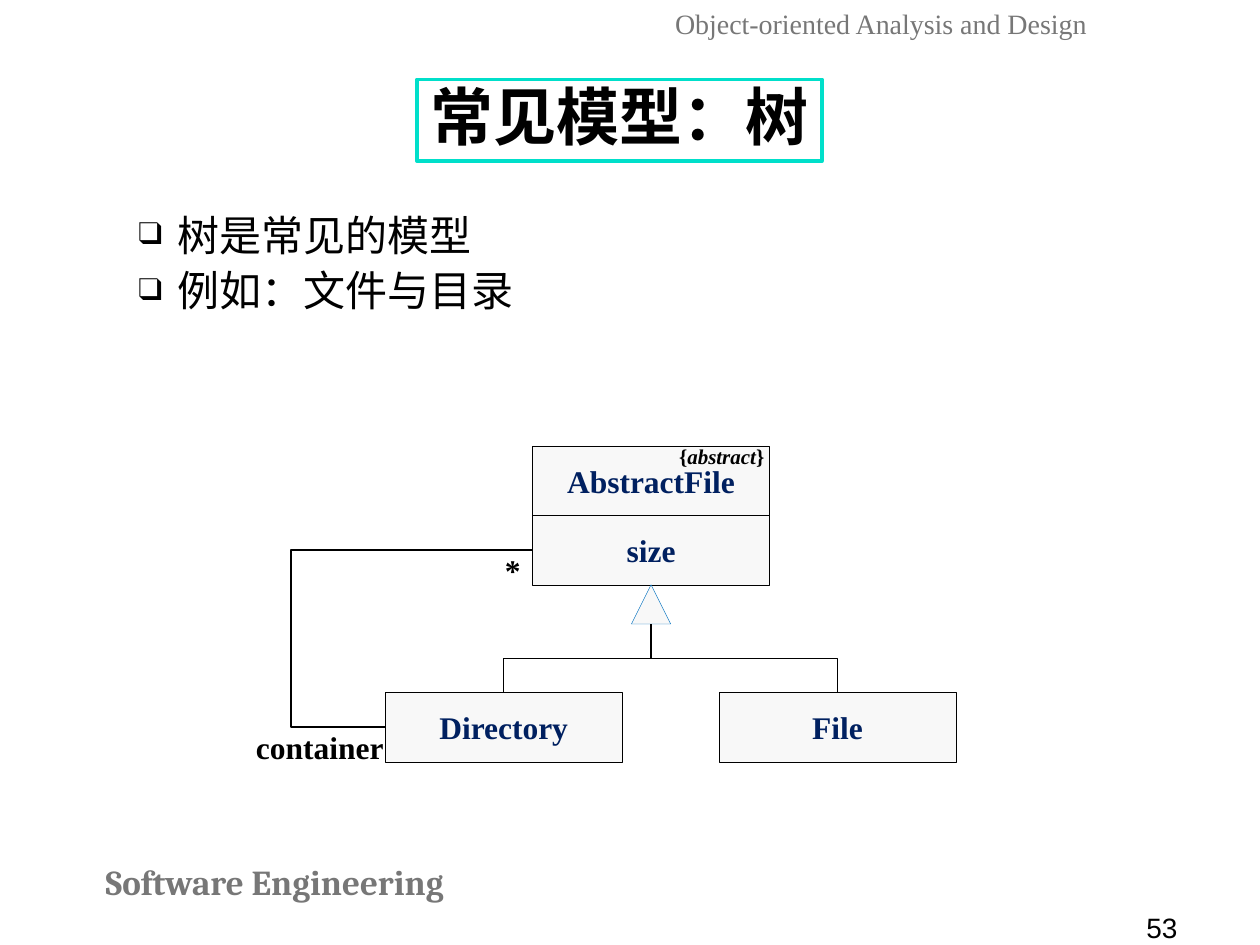
from lxml import etree
from pptx import Presentation
from pptx import util as u
from pptx.dml.color import RGBColor
from pptx.enum import shapes, text
from pptx.oxml.ns import qn

Cm, Pt = u.Cm, u.Pt
SERIF = "Times New Roman"
CLASS_W, CLASS_H = 4.77, 1.4


def rgb(value):
    """Turn a hex string into a colour."""
    return RGBColor.from_string(value)


def sub(parent, tag, **attrs):
    """Append an XML child with the given attributes."""
    el = etree.SubElement(parent, qn(tag))
    for key, value in attrs.items():
        el.set(key, str(value))
    return el


def style(p, size, color="000000", bold=False, font=SERIF, align=None):
    """Format every run of a paragraph."""
    p.alignment = align
    for r in p.runs:
        r.font.name, r.font.size, r.font.bold = font, Pt(size), bold
        r.font.color.rgb = rgb(color)


def label(s, words, x, y, w, h, size, **look):
    """Add a one-line text box that fits its text and return its paragraph."""
    tf = s.shapes.add_textbox(Cm(x), Cm(y), Cm(w), Cm(h)).text_frame
    tf.word_wrap = False
    tf.auto_size = text.MSO_AUTO_SIZE.SHAPE_TO_FIT_TEXT
    p = tf.paragraphs[0]
    for word in words:
        p.add_run().text = word
    style(p, size, **look)
    return p


def block(parent, kind, x, y, w, h, fill, line, width, alpha=None):
    """Add a filled and outlined preset shape."""
    sp = parent.shapes.add_shape(kind, Cm(x), Cm(y), Cm(w), Cm(h))
    sp.shadow.inherit = False
    sp.fill.solid()
    sp.fill.fore_color.rgb = rgb(fill)
    sp.line.color.rgb = rgb(line)
    sp.line.width = Pt(width)
    if alpha:
        color = sp.fill._xPr.find(qn("a:solidFill"))[0]
        sub(color, "a:alpha", val=alpha * 1000)
    return sp


def box_text(sp, words, size, color):
    """Put bold centred text in a shape and return its paragraph."""
    tf = sp.text_frame
    tf.text = words
    tf.word_wrap = True
    tf.vertical_anchor = text.MSO_ANCHOR.MIDDLE
    style(tf.paragraphs[0], size, color, True, align=text.PP_ALIGN.CENTER)
    return tf.paragraphs[0]


def title(s, words):
    """Add the framed slide title."""
    sp = block(s, shapes.MSO_SHAPE.RECTANGLE, 8.41, 1.6, 8.16, 1.65, "FFFFFF", "00DFCA", 2)
    box_text(sp, words, 36, "000000").line_spacing = 0.9
    sp.text_frame.auto_size = text.MSO_AUTO_SIZE.SHAPE_TO_FIT_TEXT


def bullets(s, items):
    """Add the bulleted body text."""
    tf = s.shapes.add_textbox(Cm(2.54), Cm(4.09), Cm(20.75), Cm(13.06)).text_frame
    tf.word_wrap = True
    tf.text = "\n".join(items)
    for i, p in enumerate(tf.paragraphs):
        pPr = p._p.get_or_add_pPr()
        pPr.set("marL", str(Cm(0.79)))
        pPr.set("indent", str(-Cm(0.79)))
        sub(sub(pPr, "a:buClr"), "a:srgbClr", val="000000")
        sub(pPr, "a:buSzPct", val=75000)
        sub(pPr, "a:buFont", typeface=SERIF)
        sub(pPr, "a:buChar", char="❑")
        if i:
            p.space_before = Pt(3)
        style(p, 24, align=text.PP_ALIGN.JUSTIFY)


def class_box(parent, name, x, y):
    """Add one compartment of a UML class."""
    sp = block(parent, shapes.MSO_SHAPE.RECTANGLE, x, y, CLASS_W, CLASS_H,
               "EAEAEA", "000000", 0.25, 33)
    box_text(sp, name, 18, "002060")


def elbow(s, x1, y1, x2, y2, upright=False, bend=0.5):
    """Add a bent connector; an upright one leaves and arrives vertically."""
    if upright:
        cx, cy = (x1 + x2) / 2, (y1 + y2) / 2
        x1, y1, x2, y2 = cx + cy - y1, cy + x1 - cx, cx + cy - y2, cy + x2 - cx
    cxn = s.shapes.add_connector(shapes.MSO_CONNECTOR.ELBOW, Cm(x1), Cm(y1), Cm(x2), Cm(y2))
    cxn.line.color.rgb = rgb("000000")
    cxn.line.width = Pt(0.75)
    spPr = cxn._element.spPr
    if upright:
        spPr.find(qn("a:xfrm")).set("rot", str(270 * 60000))
    guides = spPr.find(qn("a:prstGeom")).get_or_add_avLst()
    sub(guides, "a:gd", name="adj1", fmla=f"val {round(bend * 100000)}")
    sub(spPr, "a:effectLst")


def class_diagram(s):
    """Draw the file tree as a UML class diagram."""
    left, top, leaf_y = 10.74, 8.99, 13.96
    directory_x, file_x = 7.77, 14.5
    center, bottom, tip = left + CLASS_W / 2, top + 2 * CLASS_H, 0.79
    group = s.shapes.add_group_shape()
    class_box(group, "AbstractFile", left, top)
    class_box(group, "size", left, top + CLASS_H)
    class_box(s, "Directory", directory_x, leaf_y)
    class_box(s, "File", file_x, leaf_y)
    p = label(s, ["{", "abstract", "}"], 13.44, 8.81, 2.24, 0.76, 12, bold=True)
    p.runs[1].font.italic = True
    block(s, shapes.MSO_SHAPE.ISOSCELES_TRIANGLE, center - tip / 2, bottom, tip, tip,
          "EAEAEA", "0070C0", 0.25, 33)
    for x in (directory_x, file_x):
        elbow(s, x + CLASS_W / 2, leaf_y, center, bottom + tip, upright=True)
    elbow(s, directory_x, leaf_y + CLASS_H / 2, left, top + 1.5 * CLASS_H, bend=-0.64)
    label(s, ["*"], 9.93, 10.98, 0.82, 1.02, 18, bold=True)
    label(s, ["container"], 4.91, 14.55, 3.15, 1.02, 18, bold=True)


def main():
    """Build and save the slide."""
    prs = Presentation()
    prs.slide_width, prs.slide_height = Cm(25.4), Cm(19.05)
    s = prs.slides.add_slide(prs.slide_layouts[6])
    label(s, ["Software Engineering"], 1.47, 17.22, 8.14, 1.09, 20, color="777777",
          bold=True, font="Cambria", align=text.PP_ALIGN.CENTER)
    label(s, ["53"], 22.86, 18.24, 3.28, 1.02, 16, font="Arial")
    label(s, ["Object-oriented Analysis and Design"], 13.36, 0, 8.84, 0.91, 16, color="777777")
    title(s, "常见模型：树")
    bullets(s, ["树是常见的模型", "例如：文件与目录"])
    class_diagram(s)
    prs.save("out.pptx")


if __name__ == "__main__":
    main()
